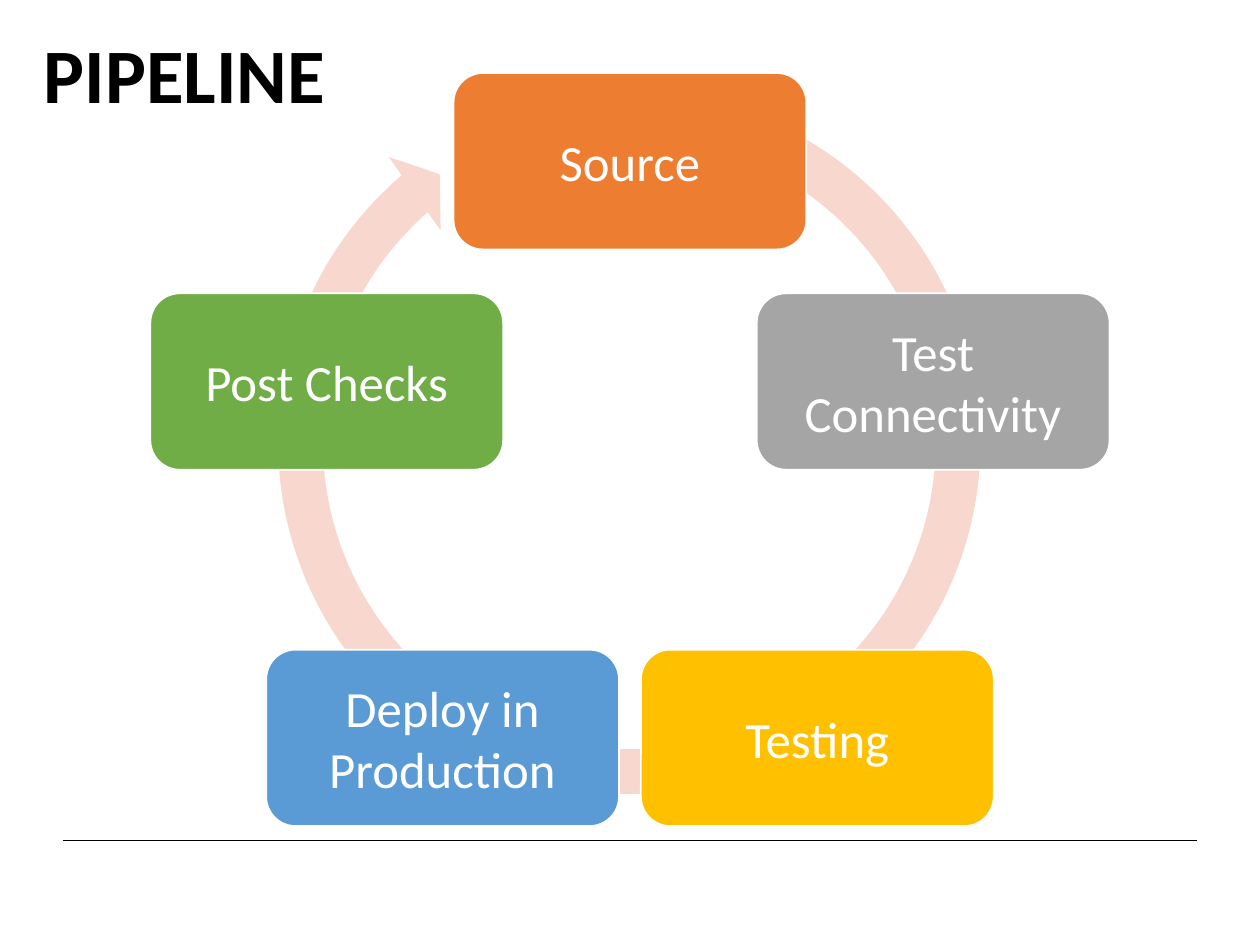
import math
from dataclasses import dataclass

from lxml import etree
from pptx import Presentation
from pptx.dml.color import RGBColor
from pptx.enum import shapes, text
from pptx.oxml import ns
from pptx.slide import Slide
from pptx.util import Inches, Pt

BLACK = RGBColor(0x00, 0x00, 0x00)
WHITE = RGBColor(0xFF, 0xFF, 0xFF)
BLUSH = RGBColor(0xF8, 0xD7, 0xCE)
ORANGE = RGBColor(0xED, 0x7D, 0x31)
GRAY = RGBColor(0xA5, 0xA5, 0xA5)
GOLD = RGBColor(0xFF, 0xC0, 0x00)
BLUE = RGBColor(0x5B, 0x9B, 0xD5)
GREEN = RGBColor(0x70, 0xAD, 0x47)

FONT = "Calibri"
CENTER_X, CENTER_Y, RADIUS = 5, 3.81, 2.53
STAGE_WIDTH, STAGE_HEIGHT, STAGE_INSET = 2.8, 1.4, 0.12
ARROW_ADJUSTMENTS = (0.06, 3.31, 137.56, 173.98, 0.06)


@dataclass
class Stage:
    label: str
    color: RGBColor


STAGES = [
    Stage("Source", ORANGE),
    Stage("Test Connectivity", GRAY),
    Stage("Testing", GOLD),
    Stage("Deploy in Production", BLUE),
    Stage("Post Checks", GREEN),
]


def style_run(paragraph, size: float, color: RGBColor, bold: bool = False) -> None:
    for run in paragraph.runs:
        run.font.name = FONT
        run.font.size = Pt(size)
        run.font.bold = bold
        run.font.color.rgb = color


def draw_footer_rule(slide: Slide) -> None:
    rule = slide.shapes.add_connector(
        shapes.MSO_CONNECTOR.STRAIGHT, Inches(0.5), Inches(6.67), Inches(9.5), Inches(6.67))
    rule.line.color.rgb = BLACK
    rule.line.width = Pt(0.5)
    etree.SubElement(rule._element.spPr, ns.qn("a:effectLst"))


def draw_cycle_arrow(slide: Slide) -> None:
    arrow = slide.shapes.add_shape(
        shapes.MSO_SHAPE.CIRCULAR_ARROW, Inches(2.03), Inches(0.55), Inches(5.93), Inches(5.93))
    for index, value in enumerate(ARROW_ADJUSTMENTS):
        arrow.adjustments[index] = value
    arrow.shadow.inherit = False
    arrow.fill.solid()
    arrow.fill.fore_color.rgb = BLUSH
    arrow.line.fill.background()


def draw_stage(slide: Slide, stage: Stage, angle: float) -> None:
    left = CENTER_X + RADIUS * math.sin(angle) - STAGE_WIDTH / 2
    top = CENTER_Y - RADIUS * math.cos(angle) - STAGE_HEIGHT / 2
    box = slide.shapes.add_shape(
        shapes.MSO_SHAPE.ROUNDED_RECTANGLE,
        Inches(left), Inches(top), Inches(STAGE_WIDTH), Inches(STAGE_HEIGHT))
    box.shadow.inherit = False
    box.fill.solid()
    box.fill.fore_color.rgb = stage.color
    box.line.color.rgb = WHITE
    box.line.width = Pt(1)
    frame = box.text_frame
    frame.word_wrap = True
    frame.vertical_anchor = text.MSO_ANCHOR.MIDDLE
    frame.margin_left = frame.margin_right = Inches(STAGE_INSET)
    frame.margin_top = frame.margin_bottom = Inches(STAGE_INSET)
    frame.text = stage.label
    label = frame.paragraphs[0]
    label.alignment = text.PP_ALIGN.CENTER
    style_run(label, 29, WHITE)


def draw_title(slide: Slide) -> None:
    title = slide.shapes.add_textbox(Inches(0.25), Inches(0.16), Inches(2.99), Inches(0.84))
    frame = title.text_frame
    frame.word_wrap = True
    frame.auto_size = text.MSO_AUTO_SIZE.SHAPE_TO_FIT_TEXT
    frame.text = "PIPELINE"
    style_run(frame.paragraphs[0], 44, BLACK, bold=True)


def main() -> None:
    deck = Presentation()
    deck.slide_width = Inches(10)
    deck.slide_height = Inches(7.5)
    slide = deck.slides.add_slide(deck.slide_layouts[6])
    draw_footer_rule(slide)
    draw_cycle_arrow(slide)
    for index, stage in enumerate(STAGES):
        draw_stage(slide, stage, math.tau * index / len(STAGES))
    draw_title(slide)
    deck.save("out.pptx")


if __name__ == "__main__":
    main()
